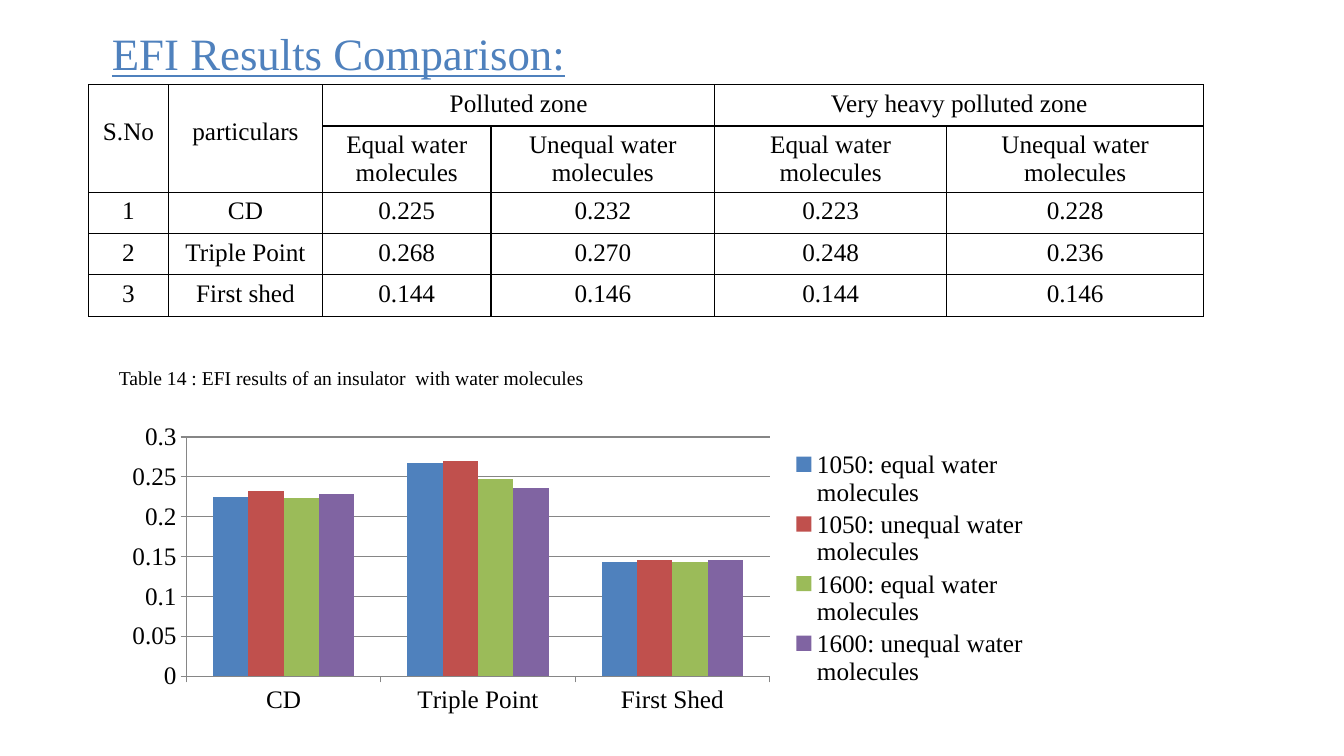
from lxml.etree import SubElement
from pptx import Presentation
from pptx.chart.data import CategoryChartData
from pptx.dml.color import RGBColor
from pptx.enum.chart import XL_CHART_TYPE, XL_LEGEND_POSITION, XL_TICK_MARK
from pptx.enum.text import MSO_ANCHOR, MSO_AUTO_SIZE, PP_ALIGN
from pptx.oxml.ns import qn
from pptx.util import Inches, Pt

BLACK = RGBColor(0x00, 0x00, 0x00)
GRAY = RGBColor(0x86, 0x86, 0x86)
BLUE = RGBColor(0x4F, 0x81, 0xBD)
RED = RGBColor(0xC0, 0x50, 0x4D)
GREEN = RGBColor(0x9B, 0xBB, 0x59)
PURPLE = RGBColor(0x80, 0x64, 0xA2)
FACE = "Times New Roman"

ZONES = ["Polluted zone", "Very heavy polluted zone"]
MOLECULES = ["Equal water molecules", "Unequal water molecules"]
PARTICULARS = ["CD", "Triple Point", "First shed"]
EFI_RESULTS = [
    [0.225, 0.232, 0.223, 0.228],
    [0.268, 0.270, 0.248, 0.236],
    [0.144, 0.146, 0.144, 0.146],
]
SERIES_COLORS = {
    "1050: equal water molecules": BLUE,
    "1050: unequal water molecules": RED,
    "1600: equal water molecules": GREEN,
    "1600: unequal water molecules": PURPLE,
}
COLUMN_WIDTHS = [0.79, 1.53, 1.67, 2.22, 2.3, 2.55]
ROW_HEIGHTS = [0.41, 0.65, 0.41, 0.41, 0.41]


def set_font(font, size, color=BLACK):
    """Apply the slide's typeface with a size and colour."""
    font.name = FACE
    font.size = Pt(size)
    font.color.rgb = color


def add_title(slide, left, top, width, height):
    """Place and format the title placeholder."""
    title = slide.shapes.title
    title.left, title.top, title.width, title.height = left, top, width, height
    title.text_frame.text = "EFI Results Comparison:"
    title.text_frame.vertical_anchor = MSO_ANCHOR.MIDDLE
    heading = title.text_frame.paragraphs[0]
    heading.alignment = PP_ALIGN.LEFT
    set_font(heading.font, 32, BLUE)
    heading.font.underline = True


def format_cell(cell):
    """Centre the cell text and give it black borders and no fill."""
    properties = cell._tc.get_or_add_tcPr()
    for side in ("lnL", "lnR", "lnT", "lnB"):
        border = SubElement(properties, qn(f"a:{side}"), w=str(Pt(1)))
        border_fill = SubElement(border, qn("a:solidFill"))
        SubElement(border_fill, qn("a:srgbClr"), val=str(BLACK))
    cell.fill.background()
    paragraph = cell.text_frame.paragraphs[0]
    paragraph.alignment = PP_ALIGN.CENTER
    set_font(paragraph.font, 18)


def add_results_table(slide, left, top):
    """Build the EFI table with its two-level heading."""
    rows = [
        ["S.No", "particulars", ZONES[0], "", ZONES[1], ""],
        ["", ""] + MOLECULES * 2,
    ]
    for number, (particular, values) in enumerate(zip(PARTICULARS, EFI_RESULTS), 1):
        rows.append([str(number), particular] + [f"{value:.3f}" for value in values])
    results = slide.shapes.add_table(
        len(rows), len(COLUMN_WIDTHS), left, top,
        Inches(sum(COLUMN_WIDTHS)), Inches(sum(ROW_HEIGHTS))).table
    for column, width in zip(results.columns, COLUMN_WIDTHS):
        column.width = Inches(width)
    for row, height in zip(results.rows, ROW_HEIGHTS):
        row.height = Inches(height)
    for row, texts in enumerate(rows):
        for column, text in enumerate(texts):
            cell = results.cell(row, column)
            cell.text = text
            format_cell(cell)
    for column in (0, 1):
        results.cell(0, column).merge(results.cell(1, column))
        results.cell(0, column).margin_top = Inches(0.33)
    for column in (2, 4):
        results.cell(0, column).merge(results.cell(0, column + 1))


def add_caption(slide, left, top, width, height):
    """Add the table caption."""
    frame = slide.shapes.add_textbox(left, top, width, height).text_frame
    frame.text = "Table 14 : EFI results of an insulator  with water molecules"
    frame.word_wrap = False
    frame.auto_size = MSO_AUTO_SIZE.SHAPE_TO_FIT_TEXT
    set_font(frame.paragraphs[0].font, 14)


def add_results_chart(slide, left, top, width, height):
    """Chart the EFI values by particular and molecule case."""
    data = CategoryChartData()
    data.categories = ["CD", "Triple Point", "First Shed"]
    for name, values in zip(SERIES_COLORS, zip(*EFI_RESULTS)):
        data.add_series(name, values)
    chart = slide.shapes.add_chart(
        XL_CHART_TYPE.COLUMN_CLUSTERED, left, top, width, height, data).chart
    set_font(chart.font, 18)
    chart.has_title = False
    chart.has_legend = True
    chart.legend.position = XL_LEGEND_POSITION.RIGHT
    chart.legend.include_in_layout = False
    set_font(chart.legend.font, 18)

    plot = chart.plots[0]
    plot.gap_width = 150
    plot.overlap = 0
    plot.vary_by_categories = False
    for series, color in zip(plot.series, SERIES_COLORS.values()):
        series.format.fill.solid()
        series.format.fill.fore_color.rgb = color

    for axis in (chart.category_axis, chart.value_axis):
        axis.major_tick_mark = XL_TICK_MARK.OUTSIDE
        axis.minor_tick_mark = XL_TICK_MARK.NONE
        axis.format.line.color.rgb = GRAY
        set_font(axis.tick_labels.font, 18)
    chart.value_axis.minimum_scale = 0
    chart.value_axis.maximum_scale = 0.3
    chart.value_axis.major_unit = 0.05
    chart.value_axis.has_major_gridlines = True
    chart.value_axis.major_gridlines.format.line.color.rgb = GRAY


def main():
    """Build and save the EFI comparison slide."""
    presentation = Presentation()
    presentation.slide_width = Inches(13.33)
    presentation.slide_height = Inches(7.5)
    slide = presentation.slides.add_slide(presentation.slide_layouts[5])
    add_title(slide, Inches(1.01), Inches(0), Inches(8.38), Inches(1.05))
    add_results_table(slide, Inches(0.88), Inches(0.84))
    add_caption(slide, Inches(1.08), Inches(3.58), Inches(4.9), Inches(0.34))
    add_results_chart(slide, Inches(1.13), Inches(4.14), Inches(9.18), Inches(3))
    presentation.save("out.pptx")


if __name__ == "__main__":
    main()
